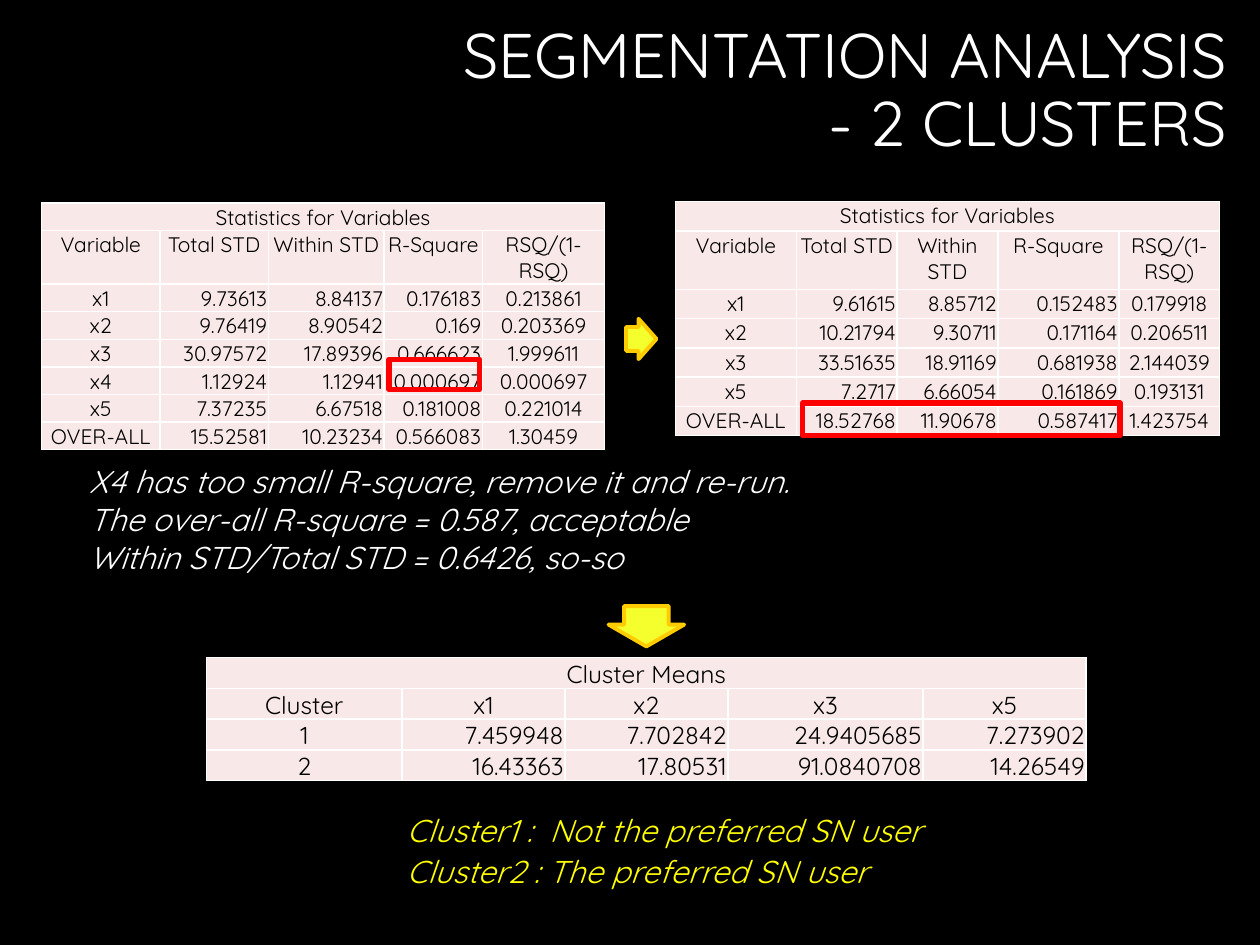
import dataclasses

import pptx
import pptx.dml.color
import pptx.enum.shapes
import pptx.enum.text
import pptx.oxml
import pptx.oxml.ns
import pptx.util

ALIGN = pptx.enum.text.PP_ALIGN
SHAPE = pptx.enum.shapes.MSO_SHAPE
WIDTH, HEIGHT = pptx.util.Inches(10), pptx.util.Inches(7.5)


@dataclasses.dataclass(frozen=True)
class Theme:
    font: str = "Quicksand"
    background: str = "000000"
    light: str = "FFFFFF"
    dark: str = "000000"
    cell: str = "F9E8E8"
    accent: str = "FFFF00"
    highlight: str = "FF0000"
    arrow: str = "F5FF2D"
    arrow_line: str = "FFCC00"
    title_size: int = 36
    note_size: int = 18
    means_size: int = 14
    stats_size: int = 12


THEME = Theme()


@dataclasses.dataclass(frozen=True)
class Box:
    """A region in percent of the slide's width and height."""
    x: float
    y: float
    w: float
    h: float

    def inner(self, x, y, w, h):
        """Region inside this one, given in percent of it."""
        return Box(self.x + self.w * x / 100, self.y + self.h * y / 100,
                   self.w * w / 100, self.h * h / 100)

    def emu(self):
        return [int(share * side / 100) for share, side in
                zip((self.x, self.y, self.w, self.h), (WIDTH, HEIGHT) * 2)]


def rgb(color):
    return pptx.dml.color.RGBColor.from_string(color)


def style(p, size, color, align=ALIGN.LEFT, italic=False):
    p.alignment = align
    p.font.name, p.font.size = THEME.font, pptx.util.Pt(size)
    p.font.bold, p.font.italic = False, italic
    p.font.color.rgb = rgb(color)


def add_title(s, box, text):
    sp = s.shapes.title
    sp.left, sp.top, sp.width, sp.height = box.emu()
    tf = sp.text_frame
    tf.text = text
    tf.auto_size = pptx.enum.text.MSO_AUTO_SIZE.NONE
    tf.vertical_anchor = pptx.enum.text.MSO_ANCHOR.MIDDLE
    p = tf.paragraphs[0]
    style(p, THEME.title_size, THEME.light, ALIGN.RIGHT)
    p.line_spacing = 0.9


def add_note(s, box, lines, color):
    tf = s.shapes.add_textbox(*box.emu()).text_frame
    tf.word_wrap = False
    tf.auto_size = pptx.enum.text.MSO_AUTO_SIZE.SHAPE_TO_FIT_TEXT
    tf.text = "\n".join(lines)
    for p in tf.paragraphs:
        style(p, THEME.note_size, color, italic=True)


def set_borders(cell, color, points):
    tc_pr = cell._tc.get_or_add_tcPr()
    for i, side in enumerate("LRTB"):
        tc_pr.insert(i, pptx.oxml.parse_xml(
            f'<a:ln{side} {pptx.oxml.ns.nsdecls("a")} w="{pptx.util.Pt(points)}">'
            f'<a:solidFill><a:srgbClr val="{color}"/></a:solidFill></a:ln{side}>'))


def add_data_table(s, box, title, rows, col_weights, row_weights, size, centered):
    """Table under a merged title row; numbers are right-aligned except in centered columns."""
    left, top, width, height = box.emu()
    table = s.shapes.add_table(len(rows) + 1, len(col_weights),
                               left, top, width, height).table
    table.first_row = table.horz_banding = False
    for col, weight in zip(table.columns, col_weights):
        col.width = int(width * weight / sum(col_weights))
    for row, weight in zip(table.rows, row_weights):
        row.height = int(height * weight / sum(row_weights))
    table.cell(0, 0).merge(table.cell(0, len(col_weights) - 1))
    title_row = [title] + [""] * (len(col_weights) - 1)
    for r, values in enumerate([title_row] + rows):
        for c, value in enumerate(values):
            cell = table.cell(r, c)
            cell.margin_left = cell.margin_right = cell.margin_top = pptx.util.Inches(0.01)
            cell.margin_bottom = 0
            cell.fill.solid()
            cell.fill.fore_color.rgb = rgb(THEME.cell)
            set_borders(cell, THEME.light, 1)
            cell.text = value
            align = ALIGN.CENTER if r < 2 or c in centered else ALIGN.RIGHT
            style(cell.text_frame.paragraphs[0], size, THEME.dark, align)


def add_stats(s, box, rows, col_weights, highlight):
    header = ["Variable", "Total STD", "Within STD", "R-Square", "RSQ/(1-RSQ)"]
    add_data_table(s, box, "Statistics for Variables", [header] + rows, col_weights,
                   [1, 2] + [1] * len(rows), THEME.stats_size, centered=(0, 4))
    sp = s.shapes.add_shape(SHAPE.RECTANGLE, *box.inner(*highlight).emu())
    sp.shadow.inherit = False
    sp.fill.background()
    sp.line.color.rgb = rgb(THEME.highlight)
    sp.line.width = pptx.util.Pt(3)


def add_arrow(s, box, head, rotation=0):
    sp = s.shapes.add_shape(SHAPE.RIGHT_ARROW, *box.emu())
    sp.shadow.inherit = False
    sp.rotation = rotation
    sp.adjustments[0], sp.adjustments[1] = 0.59, head
    sp.fill.solid()
    sp.fill.fore_color.rgb = rgb(THEME.arrow)
    sp.line.color.rgb = rgb(THEME.arrow_line)
    sp.line.width = pptx.util.Pt(2.25)


ALL_VARIABLES = [
    ["x1", "9.73613", "8.84137", "0.176183", "0.213861"],
    ["x2", "9.76419", "8.90542", "0.169", "0.203369"],
    ["x3", "30.97572", "17.89396", "0.666623", "1.999611"],
    ["x4", "1.12924", "1.12941", "0.000697", "0.000697"],
    ["x5", "7.37235", "6.67518", "0.181008", "0.221014"],
    ["OVER-ALL", "15.52581", "10.23234", "0.566083", "1.30459"],
]
WITHOUT_X4 = [
    ["x1", "9.61615", "8.85712", "0.152483", "0.179918"],
    ["x2", "10.21794", "9.30711", "0.171164", "0.206511"],
    ["x3", "33.51635", "18.91169", "0.681938", "2.144039"],
    ["x5", "7.2717", "6.66054", "0.161869", "0.193131"],
    ["OVER-ALL", "18.52768", "11.90678", "0.587417", "1.423754"],
]
CLUSTER_MEANS = [
    ["Cluster", "x1", "x2", "x3", "x5"],
    ["1", "7.459948", "7.702842", "24.9405685", "7.273902"],
    ["2", "16.43363", "17.80531", "91.0840708", "14.26549"],
]
FINDINGS = [
    "X4 has too small R-square, remove it and re-run.",
    "The over-all R-square = 0.587, acceptable",
    "Within STD/Total STD = 0.6426, so-so",
]


def add_segmentation_slide(prs):
    s = prs.slides.add_slide(prs.slide_layouts[5])
    s.background.fill.solid()
    s.background.fill.fore_color.rgb = rgb(THEME.background)
    add_title(s, Box(23.5, 1.73, 74.9, 16), "SEGMENTATION ANALYSIS\v- 2 CLUSTERS")
    add_stats(s, Box(3.3, 21.47, 44.7, 25.07), ALL_VARIABLES,
              [94, 86, 92, 78, 97], highlight=(61.7, 66, 16.1, 12.8))
    add_stats(s, Box(53.6, 21.33, 43.2, 24.8), WITHOUT_X4,
              [6, 5, 5, 6, 5], highlight=(23.4, 86, 58.3, 14))
    add_note(s, Box(6.1, 48.27, 61.7, 13.47), FINDINGS, THEME.light)
    add_data_table(s, Box(16.4, 69.6, 69.8, 12.93), "Cluster Means", CLUSTER_MEANS,
                   [6, 5, 5, 6, 5], [1] * 4, THEME.means_size, centered=(0,))
    add_note(s, Box(31.3, 85.2, 45.6, 5.33),
             ["Cluster1 :  Not the preferred SN user"], THEME.accent)
    add_note(s, Box(31.3, 89.47, 40, 5.33),
             ["Cluster2 : The preferred SN user"], THEME.accent)
    add_arrow(s, Box(49.7, 62.27, 3.2, 8), head=0.54, rotation=90)
    add_arrow(s, Box(49.7, 33.73, 2.4, 4.27), head=0.59)


def main():
    prs = pptx.Presentation()
    prs.slide_width, prs.slide_height = WIDTH, HEIGHT
    add_segmentation_slide(prs)
    prs.save("out.pptx")


if __name__ == "__main__":
    main()
